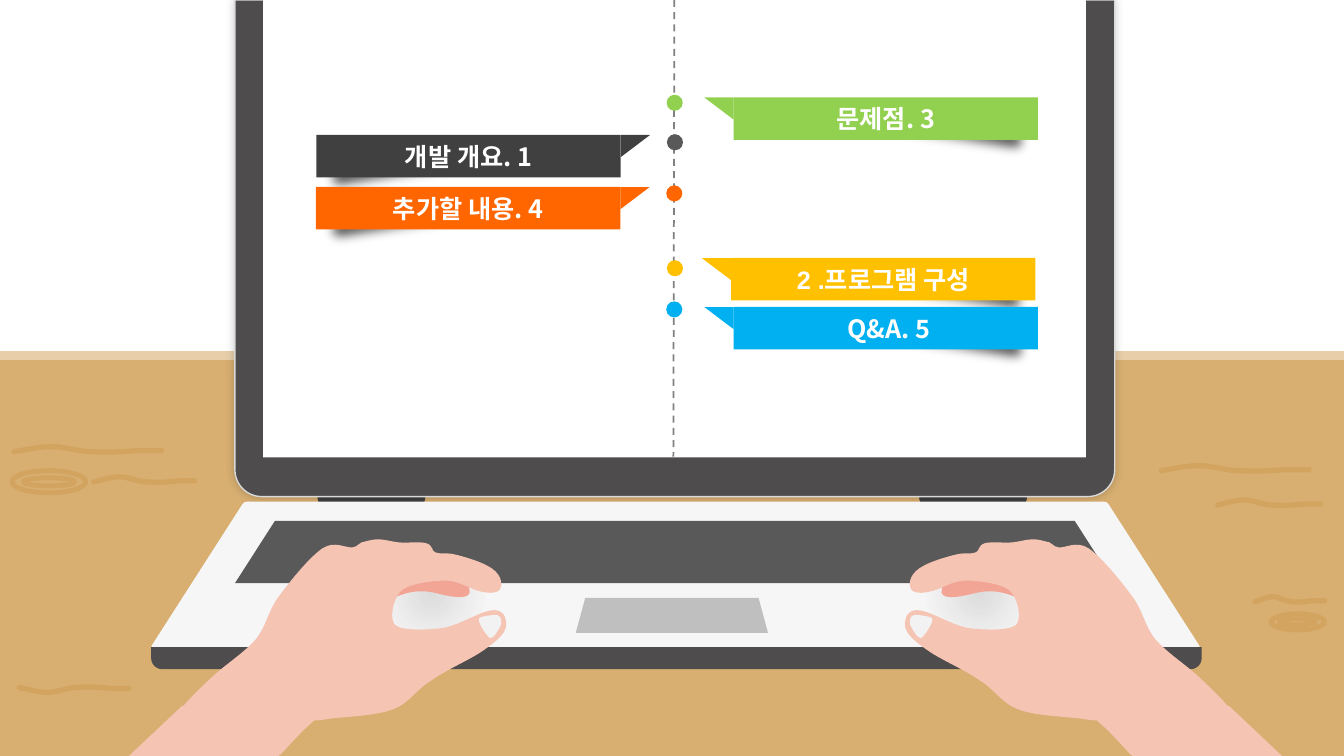
import pptx
import pptx.util
import pptx.oxml
import pptx.oxml.ns
import pptx.dml.color
import pptx.enum.dml
import pptx.enum.shapes
import pptx.enum.text

Pt = pptx.util.Pt
SHAPE = pptx.enum.shapes.MSO_SHAPE
FONT = "Noto Sans CJK KR"
COLORS = {
    "white": "FFFFFF", "edge": "E8CFAA", "wood": "D8AF71", "grain": "D3A45F",
    "charcoal": "404040", "frame": "4E4C4D", "rim": "D9D9D9", "base": "F6F6F6",
    "gray": "595959", "touchpad": "BFBFBF", "axis": "808080", "skin": "F5C4B3",
    "palm": "F2A595", "nail": "F2F2F2", "orange": "FF6600", "yellow": "FFC000",
    "blue": "00B0F0", "green": "92D050",
}
NAMESPACE = pptx.oxml.ns.nsdecls("a")

# Outlines: a pair is a corner, six numbers are a curve; one unit is UNIT points
UNIT = 0.72
MIRROR = 1400
PALM = [(349.3, 572.7), (348.7, 564.6, 355.5, 557.2, 364.5, 556.5), (444.9, 556.5),
        (453.2, 557.1, 462.8, 559.3, 463.4, 568.4), (466.1, 577),
        (465.6, 585.3, 444.1, 584.3, 435.8, 583.8),
        (396.6, 581, 390.5, 607.6, 364, 607.5),
        (354.8, 607.2, 348.8, 580.9, 349.3, 572.7)]
HAND = [(375, 535), (381, 535, 387, 537, 395, 538), (403, 539, 417, 537, 423, 539),
        (430, 541, 428, 547, 432, 548), (437, 550, 443, 548, 451, 550),
        (460, 552, 476, 557, 483, 561), (491, 565, 494, 569, 496, 573),
        (498, 577, 498, 583, 495, 586), (492, 588, 487, 589, 478, 587),
        (469, 586, 456, 576, 442, 576), (429, 576, 406, 579, 398, 586),
        (390, 594, 386, 614, 392, 620), (399, 626, 425, 625, 440, 623),
        (455, 620, 475, 608, 485, 606), (495, 604, 497, 607, 500, 610),
        (502, 614, 504, 621, 500, 627), (496, 633, 489, 639, 477, 647),
        (465, 655, 442, 665, 428, 675), (413, 684, 406, 698, 389, 704),
        (371, 711, 335, 711, 321, 714), (308, 716, 315, 712, 307, 719),
        (301, 724, 288, 738, 279, 748), (276, 750), (247, 750), (236, 744),
        (225, 738, 206, 731, 198, 726), (190, 721, 192, 718, 188, 715),
        (185, 712, 173, 716, 176, 709), (179, 702, 195, 686, 208, 674),
        (221, 661, 242, 648, 254, 634), (265, 620, 266, 605, 278, 590),
        (289, 575, 308, 552, 320, 544), (332, 536, 343, 544, 350, 543),
        (356, 542, 355, 539, 359, 538), (364, 537, 369, 535, 375, 535)]
NAIL = [(475, 614), (474, 618, 483, 631, 486, 633), (490, 634, 494, 625, 496, 622),
        (498, 619, 497, 615, 497, 614), (497, 612, 495, 611, 493, 610),
        (491, 610, 476, 611, 475, 614)]
WRIST = [(181, 700), (258, 750), (128, 750)]
GRAIN = [(0, 5), (13, 3, 25, 0, 38, 0), (51, 0, 64, 5, 78, 5),
         (92, 6, 110, 5, 122, 4), (133, 4, 140, 4, 147, 4)]


def rgb(name):
    return pptx.dml.color.RGBColor.from_string(COLORS[name])


def paint(shape, fill=None, line=None, width=1):
    shape.shadow.inherit = False
    if fill:
        shape.fill.solid()
        shape.fill.fore_color.rgb = rgb(fill)
    else:
        shape.fill.background()
    if line:
        shape.line.color.rgb = rgb(line)
        shape.line.width = Pt(width)
    else:
        shape.line.fill.background()
    return shape


def add_preset(slide, kind, box, fill=None, line=None, width=1, adjust=()):
    shape = slide.shapes.add_shape(kind, *[Pt(length) for length in box])
    for index, value in enumerate(adjust):
        shape.adjustments[index] = value
    return paint(shape, fill, line, width)


def fade(shape, stops, direction):
    """Fill with black; stops hold position and opacity in percent."""
    marks = "".join(
        f'<a:gs pos="{place * 1000}"><a:srgbClr val="000000">'
        f'<a:alpha val="{opacity * 1000}"/></a:srgbClr></a:gs>' for place, opacity in stops)
    gradient = pptx.oxml.parse_xml(
        f'<a:gradFill {NAMESPACE} rotWithShape="1"><a:gsLst>{marks}</a:gsLst>{direction}</a:gradFill>')
    properties = shape._element.spPr
    properties.replace(properties.find(pptx.oxml.ns.qn("a:noFill")), gradient)


def add_effect(shape, xml):
    effects = shape._element.spPr.find(pptx.oxml.ns.qn("a:effectLst"))
    effects.append(pptx.oxml.parse_xml(xml))


def add_outline(slide, outline, place, close=True):
    """Build the outline by its corners, then bend the curved sides."""
    parts = [[place(x, y) for x, y in zip(part[::2], part[1::2])] for part in outline]
    corners = [part[-1] for part in parts]
    builder = slide.shapes.build_freeform(*corners[0])
    builder.add_line_segments(corners[1:], close=close)
    shape = builder.convert_to_shape()
    sides = list(shape._element.spPr.iter(pptx.oxml.ns.qn("a:lnTo")))
    for side, part in zip(sides, parts[1:]):
        if len(part) == 3:
            points = "".join(f'<a:pt x="{x - shape.left}" y="{y - shape.top}"/>' for x, y in part)
            curve = pptx.oxml.parse_xml(f"<a:cubicBezTo {NAMESPACE}>{points}</a:cubicBezTo>")
            side.getparent().replace(side, curve)
    return shape


def add_grain(slide, left, top, length, rise=1):
    def place(x, y):
        return Pt(left + x * length / 147), Pt(top + rise * y * UNIT)

    grain = paint(add_outline(slide, GRAIN, place, close=False), line="grain", width=3.75)
    grain._element.spPr.find(pptx.oxml.ns.qn("a:ln")).set("cap", "rnd")


def add_hand(slide, mirrored):
    def place(x, y):
        return Pt((MIRROR - x if mirrored else x) * UNIT), Pt(y * UNIT)

    left = 627.1 if mirrored else 235.4
    hollow = add_preset(slide, SHAPE.OVAL, (left, 395.3, 145.4, 57.6))
    fade(hollow, ((0, 10), (50, 0), (100, 0)),
         '<a:path path="circle"><a:fillToRect l="50000" t="50000" r="50000" b="50000"/></a:path>')
    for outline, fill, angle in ((PALM, "palm", 10.7), (HAND, "skin", 0),
                                 (NAIL, "nail", 0), (WRIST, "skin", 0)):
        shape = paint(add_outline(slide, outline, place), fill)
        shape.rotation = -angle if mirrored else angle


def add_ribbon(slide, left, top, fill, text, on_left, latin=FONT):
    width, height, tail = 217.4, 30.4, 20.9
    # Soft shadow under the outer end
    shadow_left = left - 2.9 if on_left else left + width + 2.9 - 153.4
    shadow = add_preset(slide, SHAPE.RECTANGLE, (shadow_left, top + 3.4, 153.4, 38.9))
    shadow.rotation = -7.5 if on_left else 7.5
    fade(shadow, ((0, 85), (100, 0)) if on_left else ((0, 0), (100, 85)), '<a:lin ang="0" scaled="0"/>')
    add_effect(shadow, f'<a:softEdge {NAMESPACE} rad="{Pt(10)}"/>')
    # Label
    label = add_preset(slide, SHAPE.RECTANGLE, (left, top, width, height), fill)
    frame = label.text_frame
    frame.vertical_anchor = pptx.enum.text.MSO_ANCHOR.MIDDLE
    paragraph = frame.paragraphs[0]
    paragraph.alignment = pptx.enum.text.PP_ALIGN.CENTER
    run = paragraph.add_run()
    run.text = text
    run.font.size = Pt(18)
    run.font.bold = True
    run.font.name = latin
    run.font.color.rgb = rgb("white")
    run._r.get_or_add_rPr().append(
        pptx.oxml.parse_xml(f'<a:ea {NAMESPACE} typeface="{FONT}"/>'))
    # Tail pointing at the axis
    tail_left = left + width if on_left else left - tail
    triangle = add_preset(slide, SHAPE.RIGHT_TRIANGLE, (tail_left, top, tail, 15.8), fill)
    triangle.rotation = 180
    if on_left:
        triangle._element.spPr.xfrm.set("flipH", "1")


def add_axis(slide):
    axis = slide.shapes.add_connector(pptx.enum.shapes.MSO_CONNECTOR.STRAIGHT,
                                      Pt(481.7), Pt(0), Pt(481), Pt(326.2))
    axis.line.color.rgb = rgb("axis")
    axis.line.width = Pt(1.25)
    axis.line.dash_style = pptx.enum.dml.MSO_LINE.DASH
    axis._element.spPr.append(pptx.oxml.parse_xml(f"<a:effectLst {NAMESPACE}/>"))


def add_laptop(slide):
    for left in (656.6, 226.8):
        add_preset(slide, SHAPE.ROUNDED_RECTANGLE, (left, 349.9, 77, 12.2), "charcoal", adjust=(0.5,))
    lid = add_preset(slide, SHAPE.ROUND_2_SAME_RECTANGLE, (167.8, 0, 628.4, 354.7),
                     "frame", "rim", 1, (0, 0.054))
    add_effect(lid, f'<a:outerShdw {NAMESPACE} blurRad="{Pt(6)}" dist="0">'
                    '<a:srgbClr val="000000"><a:alpha val="20000"/></a:srgbClr></a:outerShdw>')
    add_preset(slide, SHAPE.ROUNDED_RECTANGLE, (187.9, -0.7, 587.7, 327.4), "white", adjust=(0,))
    add_preset(slide, SHAPE.TRAPEZOID, (111.6, 362, 741.8, 100.8), "base", "base", 7.25, (0.642,))
    add_preset(slide, SHAPE.ROUND_2_SAME_RECTANGLE, (108, 462.2, 750.4, 15.8), "frame", adjust=(0, 0.5))
    add_preset(slide, SHAPE.TRAPEZOID, (167.8, 372.1, 628.4, 44.5), "gray", adjust=(0.642,))
    add_preset(slide, SHAPE.TRAPEZOID, (411.3, 427, 137.3, 25), "touchpad", adjust=(0.271,))


def main():
    presentation = pptx.Presentation()
    presentation.slide_width, presentation.slide_height = Pt(960), Pt(540)
    slide = presentation.slides.add_slide(presentation.slide_layouts[6])

    # Desk and laptop
    add_preset(slide, SHAPE.FLOWCHART_PROCESS, (0, 251, 960, 6.5), "edge")
    add_preset(slide, SHAPE.FLOWCHART_PROCESS, (0, 257, 960, 283), "wood")
    add_laptop(slide)

    # Wood grain and knots
    for grain in ((829.4, 332.6, 105.8), (10, 319, 105.5), (67, 340.6, 72),
                  (869.8, 357.1, 73.4), (13.7, 494.6, 78.5, -1), (896.4, 426.2, 49.7)):
        add_grain(slide, *grain)
    for knot in ((8.6, 336.2, 52.6, 15.8), (16.6, 341.3, 36.7, 5.8),
                 (907.9, 438.5, 38.2, 11.5), (913.7, 442.1, 25.9, 4.3)):
        add_preset(slide, SHAPE.OVAL, knot, line="grain", width=3.5)

    # Hands
    for mirrored in (False, True):
        add_hand(slide, mirrored)

    # Dashed axis, its dots and the ribbons
    add_axis(slide)
    for left, top, fill in ((476.4, 95.9, "gray"), (476.4, 185.9, "yellow"), (475.9, 215.3, "blue"),
                            (475.9, 132.4, "orange"), (476.2, 67.7, "green")):
        add_preset(slide, SHAPE.OVAL, (left, top, 11.5, 11.5), fill)
    add_ribbon(slide, 226, 96.4, "charcoal", "개발 개요. 1", True)
    add_ribbon(slide, 522.2, 184.3, "yellow", "2 .프로그램 구성", False, "Arial")
    add_ribbon(slide, 225.7, 133.6, "orange", "추가할 내용. 4", True)
    add_ribbon(slide, 524, 219.3, "blue", " Q&A. 5", False)
    add_ribbon(slide, 524, 69.6, "green", "문제점. 3", False)

    presentation.save("out.pptx")


if __name__ == "__main__":
    main()
